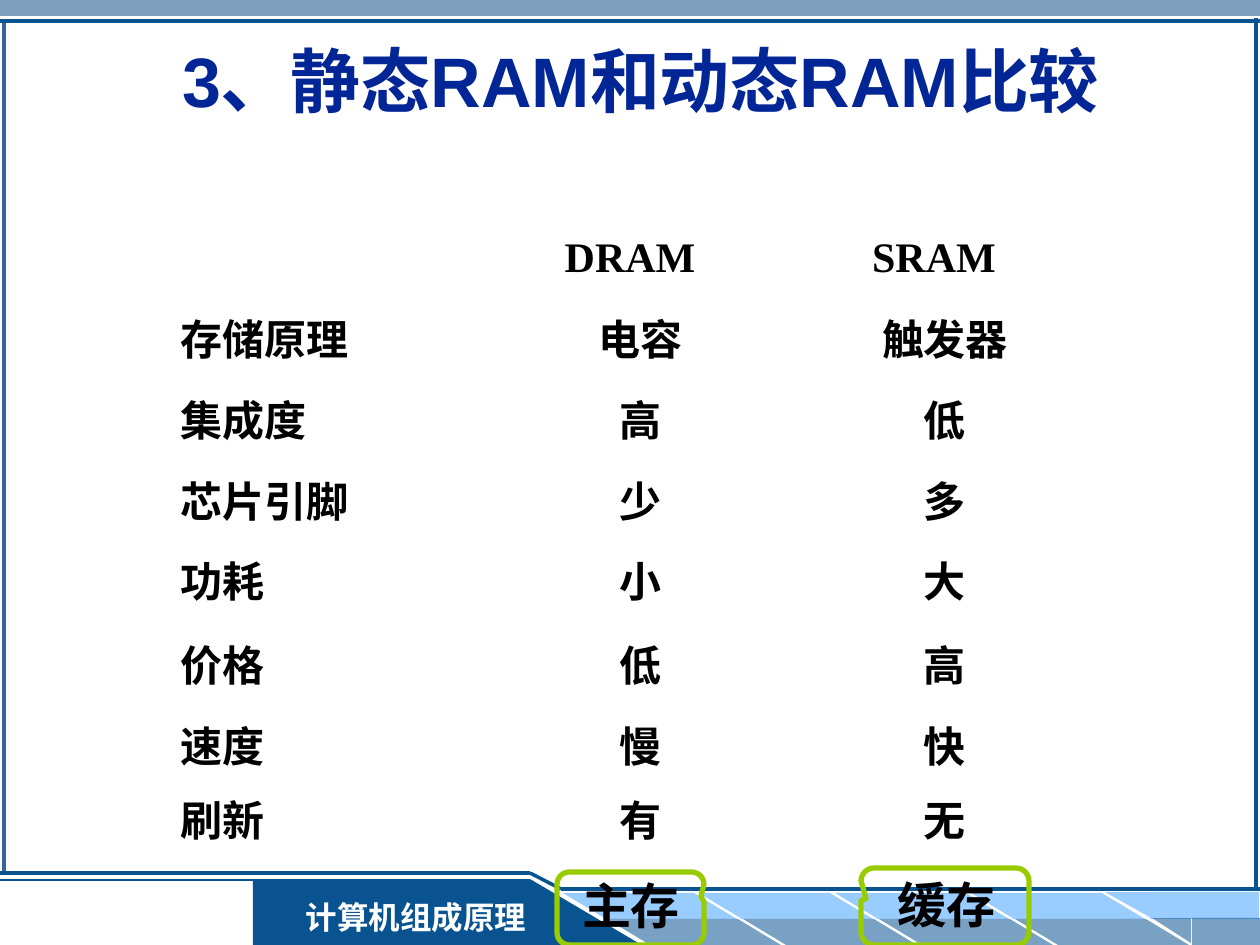
from dataclasses import dataclass
from typing import NamedTuple

from lxml import etree
from pptx import Presentation
from pptx.dml.color import RGBColor
from pptx.enum.shapes import MSO_CONNECTOR, MSO_SHAPE
from pptx.enum.text import MSO_ANCHOR, MSO_AUTO_SIZE, PP_ALIGN
from pptx.oxml.ns import qn
from pptx.util import Emu, Pt

RECT = MSO_SHAPE.RECTANGLE
SLANT = MSO_SHAPE.PARALLELOGRAM
TRIANGLE = MSO_SHAPE.RIGHT_TRIANGLE
CALLOUT = MSO_SHAPE.ROUNDED_RECTANGULAR_CALLOUT
STRAIGHT = MSO_CONNECTOR.STRAIGHT
LEFT, CENTER = PP_ALIGN.LEFT, PP_ALIGN.CENTER
TOP, MIDDLE = MSO_ANCHOR.TOP, MSO_ANCHOR.MIDDLE
NO_FIT = MSO_AUTO_SIZE.NONE


@dataclass(frozen=True)
class Theme:
    navy: str = "095391"
    steel: str = "336699"
    sky: str = "99CCFF"
    green: str = "99CC00"
    title: str = "032697"
    ink: str = "000000"
    white: str = "FFFFFF"
    title_font: str = "Arial"
    body_font: str = "Times New Roman"
    title_pt: int = 40
    tag_pt: int = 28
    body_pt: int = 24
    footer_pt: int = 18


class Box(NamedTuple):
    x: int
    y: int
    w: int
    h: int


class Panel(NamedTuple):
    kind: int
    box: Box
    color: str
    alpha: int = 100
    rotation: int = 0


class Rule(NamedTuple):
    x1: int
    y1: int
    x2: int
    y2: int
    color: str
    weight: float = 2


class Row(NamedTuple):
    y: int
    label: str
    dram: str
    sram: str


class Tag(NamedTuple):
    frame: Box
    text_box: Box
    text: str
    adjustments: tuple[float, ...]


T = Theme()
SCALE = 914400 / 126
CELL_W, CELL_H = 336, 63
LABEL_X = 168
HEADER_Y = 224
HEADERS = [(462, "DRAM"), (766, "SRAM")]
DRAM_X, SRAM_X = 473, 777
ROWS = [
    Row(307, "存储原理", "电容", "触发器"),
    Row(388, "集成度", "高", "低"),
    Row(469, "芯片引脚", "少", "多"),
    Row(549, "功耗", "小", "大"),
    Row(633, "价格", "低", "高"),
    Row(714, "速度", "慢", "快"),
    Row(788, "刷新", "有", "无"),
]
TAGS = [
    Tag(Box(557, 872, 147, 73), Box(566, 869, 130, 72), "主存", (0.48, -0.17, 0.17)),
    Tag(Box(861, 868, 168, 77), Box(881, 868, 131, 72), "缓存", (-0.47, -0.1, 0.17)),
]
TILE_X, TILE_STEP, TILE_SHIFT = 563, 136, 44
TILE_W, TILE_H, TILE_COUNT, TILE_SKEW = 174, 26, 4, 1.66
BAND_TOP, BAND_MID = 893, 919
HALF = 54
PANELS = [
    Panel(RECT, Box(0, 0, 1260, 16), T.steel, 63),
    Panel(RECT, Box(253, 880, 277, 65), T.navy),
    Panel(RECT, Box(1150, 892, 109, 27), T.sky),
    Panel(TRIANGLE, Box(1105, 892, 48, 27), T.sky, 100, 180),
    Panel(RECT, Box(1192, 918, 68, 27), T.navy, HALF),
    Panel(TRIANGLE, Box(1152, 918, 39, 25), T.navy, HALF, 180),
    Panel(TRIANGLE, Box(529, 880, 110, 65), T.navy),
]
RULES = [
    Rule(4, 19, 4, 873, T.steel),
    Rule(640, 945, 530, 880, T.navy, 1),
    Rule(530, 880, 0, 880, T.navy, 1.5),
    Rule(0, 873, 530, 873, T.navy),
    Rule(530, 873, 561, 889, T.navy),
    Rule(561, 889, 1260, 889, T.navy),
    Rule(0, 21, 1260, 21, T.navy),
    Rule(1256, 18, 1256, 891, T.navy),
]


def px(n: int) -> Emu:
    return Emu(round(n * SCALE))


def rgb(color: str) -> RGBColor:
    return RGBColor.from_string(color)


def add_panel(s, panel: Panel):
    sp = s.shapes.add_shape(panel.kind, *map(px, panel.box))
    sp.shadow.inherit = False
    sp.fill.solid()
    sp.fill.fore_color.rgb = rgb(panel.color)
    sp.line.fill.background()
    sp.rotation = panel.rotation
    if panel.alpha < 100:
        clr = sp.element.spPr.find(".//" + qn("a:srgbClr"))
        etree.SubElement(clr, qn("a:alpha"), val=str(panel.alpha * 1000))
    return sp


def add_tile(s, x: int, y: int, color: str, alpha: int) -> None:
    sp = add_panel(s, Panel(SLANT, Box(x, y, TILE_W, TILE_H), color, alpha))
    sp.adjustments[0] = TILE_SKEW
    sp.element.spPr.find(qn("a:xfrm")).set("flipH", "1")


def add_rule(s, rule: Rule) -> None:
    ends = (px(n) for n in rule[:4])
    line = s.shapes.add_connector(STRAIGHT, *ends)
    line.line.color.rgb = rgb(rule.color)
    line.line.width = Pt(rule.weight)
    etree.SubElement(line.element.spPr, qn("a:effectLst"))


def write(sp, text: str, size: int, color: str = T.ink, align: PP_ALIGN = CENTER,
          font: str = T.body_font, anchor: MSO_ANCHOR = TOP) -> None:
    tf = sp.text_frame
    tf.word_wrap = True
    tf.auto_size = NO_FIT
    tf.vertical_anchor = anchor
    p = tf.paragraphs[0]
    p.text = text
    p.alignment = align
    p.font.name = font
    p.font.size = Pt(size)
    p.font.bold = True
    p.font.color.rgb = rgb(color)


def add_text(s, box: Box, text: str, size: int, align: PP_ALIGN = CENTER) -> None:
    write(s.shapes.add_textbox(*map(px, box)), text, size, align=align)


def add_tag(s, tag: Tag) -> None:
    sp = s.shapes.add_shape(CALLOUT, *map(px, tag.frame))
    sp.shadow.inherit = False
    sp.fill.background()
    sp.line.color.rgb = rgb(T.green)
    sp.line.width = Pt(3)
    for i, value in enumerate(tag.adjustments):
        sp.adjustments[i] = value
    add_text(s, tag.text_box, tag.text, T.tag_pt)


def add_title(s, box: Box, text: str) -> None:
    sp = s.shapes.title
    sp.left, sp.top, sp.width, sp.height = map(px, box)
    write(sp, text, T.title_pt, T.title, font=T.title_font, anchor=MIDDLE)


def main() -> None:
    prs = Presentation()
    prs.slide_width, prs.slide_height = px(1260), px(945)
    s = prs.slides.add_slide(prs.slide_layouts[5])

    for panel in PANELS:
        add_panel(s, panel)
    for i in range(TILE_COUNT):
        x = TILE_X + i * TILE_STEP
        add_tile(s, x, BAND_TOP, T.sky, 100)
        add_tile(s, x + TILE_SHIFT, BAND_MID, T.navy, HALF)
    for rule in RULES:
        add_rule(s, rule)
    footer = add_panel(s, Panel(RECT, Box(287, 892, 258, 50), T.navy))
    write(footer, "计算机组成原理", T.footer_pt, T.white)

    add_title(s, Box(44, 35, 1193, 89), "3、静态RAM和动态RAM比较")
    for x, name in HEADERS:
        add_text(s, Box(x, HEADER_Y, CELL_W, CELL_H), name, T.body_pt)
    for row in ROWS:
        add_text(s, Box(LABEL_X, row.y, CELL_W, CELL_H), row.label, T.body_pt, LEFT)
        add_text(s, Box(DRAM_X, row.y, CELL_W, CELL_H), row.dram, T.body_pt)
        add_text(s, Box(SRAM_X, row.y, CELL_W, CELL_H), row.sram, T.body_pt)
    for tag in TAGS:
        add_tag(s, tag)
    prs.save("out.pptx")


if __name__ == "__main__":
    main()
